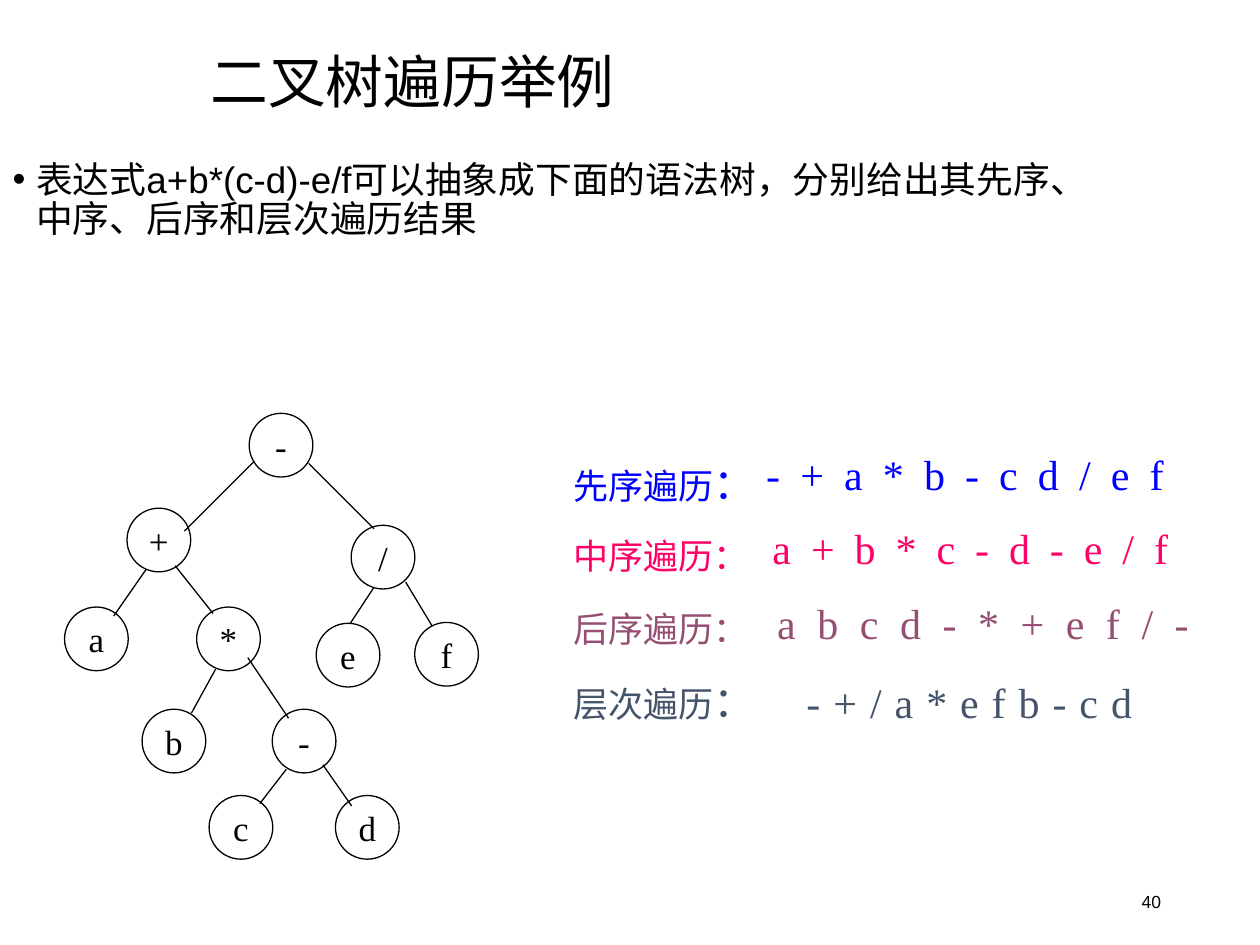
from lxml import etree
from pptx import Presentation
from pptx import util as u
from pptx.dml import color
from pptx.enum import shapes, text
from pptx.oxml import ns

Pt = u.Pt
SERIF, CJK = "Times New Roman", "Noto Sans CJK SC"


def rgb(value):
    return color.RGBColor.from_string(value)


def write(holder, runs, ink, font, align="LEFT", anchor="MIDDLE", wrap=False):
    frame = holder.text_frame
    frame_format = {
        "word_wrap": wrap,
        "auto_size": text.MSO_AUTO_SIZE.NONE,
        "vertical_anchor": getattr(text.MSO_ANCHOR, anchor),
    }
    for key, value in frame_format.items():
        setattr(frame, key, value)
    line = frame.paragraphs[0]
    line.alignment = getattr(text.PP_ALIGN, align)
    for words, size in runs:
        run = line.add_run()
        run.text = words
        for key, value in {"name": font, "size": Pt(size), "bold": False}.items():
            setattr(run.font, key, value)
        run.font.color.rgb = rgb(ink)
        east_asian = etree.SubElement(run.font._element, ns.qn("a:ea"))
        east_asian.set("typeface", CJK)
    return line


deck = Presentation()
deck.slide_width, deck.slide_height = Pt(720), Pt(540)
slide = deck.slides.add_slide(deck.slide_layouts[1])
parts = slide.shapes

heading, task = slide.placeholders
for holder, box in ((heading, (113, 25.2, 607, 46.8)), (task, (0, 88.6, 646.6, 85))):
    for key, value in zip(("left", "top", "width", "height"), box):
        setattr(holder, key, Pt(value))
heading_line = write(heading, [("二叉树遍历举例", 33)], "000000", CJK, wrap=True)
heading_line.line_spacing = 0.9
task_line = write(
    task,
    [("表达式a+b*(c-d)-e/f可以抽象成下面的语法树，分别给出其先序、中序、后序和层次遍历结果", 21)],
    "000000", "Arial", anchor="TOP", wrap=True,
)
for key, value in {"line_spacing": 0.9, "space_before": Pt(7.5)}.items():
    setattr(task_line, key, value)
task_indent = task_line._p.get_or_add_pPr()
task_indent.set("marL", str(Pt(13.5)))
task_indent.set("indent", str(Pt(-13.5)))

page = parts.add_textbox(Pt(508.5), Pt(500.6), Pt(162), Pt(28.8))
write(page, [("40", 10)], "000000", "Arial", "RIGHT", wrap=True)

NODE = 36.4
nodes = [
    ("-", 142.4, 236.2), ("+", 72.6, 290.4), ("/", 200.7, 300.2),
    ("a", 36.9, 346.9), ("*", 112.4, 346.9), ("b", 81.2, 405.3),
    ("-", 155.6, 405.3), ("e", 180.7, 356.2), ("f", 237, 355.7),
    ("c", 119.5, 454.6), ("d", 191.7, 454.6),
]
for symbol, left, top in nodes:
    node = parts.add_shape(shapes.MSO_SHAPE.OVAL, Pt(left), Pt(top), Pt(NODE), Pt(NODE))
    node.shadow.inherit = False
    node.fill.background()
    node.line.color.rgb = rgb("000000")
    node.line.width = Pt(0.75)
    write(node, [(symbol, 20)], "000000", SERIF, "CENTER")

branches = [
    (145.4, 263.5, 105.4, 303.5), (176.4, 264.8, 213.8, 302.2),
    (83.5, 325.4, 65, 352), (100.1, 323.3, 121.8, 350.6),
    (213.8, 335.5, 200.2, 356.2), (231.8, 332.6, 247, 357.8),
    (123.2, 382.4, 109.4, 407.5), (141.6, 375.8, 164.9, 410.4),
    (163.6, 439.6, 148.5, 459.2), (184.5, 437, 201, 460.6),
]
for ends in branches:
    branch = parts.add_connector(shapes.MSO_CONNECTOR.STRAIGHT, *map(Pt, ends))
    branch.line.color.rgb = rgb("000000")
    branch.line.width = Pt(0.75)
    etree.SubElement(branch._element.spPr, ns.qn("a:effectLst"))

symbol_widths = {
    "-": 22.4, "+": 28, "/": 21.1, "*": 26.4, "a": 25, "b": 26.4,
    "c": 25, "d": 26.4, "e": 25, "f": 22.4,
}
traversals = [
    ("先序遍历", 24, 257.8, 36, "0000FF", "-+a*b-cd/ef", 430.6, 252.7, 2.9),
    ("中序遍历", 20, 301.7, 31, "FF0066", "a+b*c-d-e/f", 434.2, 295.2, 3),
    ("后序遍历", 20, 343.4, 31, "954F72", "abcd-*+ef/-", 437, 337.7, 2.1),
    ("层次遍历", 24, 382.3, 36, "44546A", "-+/a*efb-cd", 453.6, 383, 7),
]
for order, colon_size, top, height, ink, visits, left, visit_top, overlap in traversals:
    label = parts.add_textbox(Pt(320.4), Pt(top), Pt(118.6), Pt(height))
    write(label, [(order, 20), ("：", colon_size)], ink, SERIF)
    for symbol in visits:
        width = symbol_widths[symbol]
        visit = parts.add_textbox(Pt(left), Pt(visit_top), Pt(width), Pt(36))
        write(visit, [(symbol, 24)], ink, SERIF, "CENTER")
        left += width - overlap

deck.save("out.pptx")
